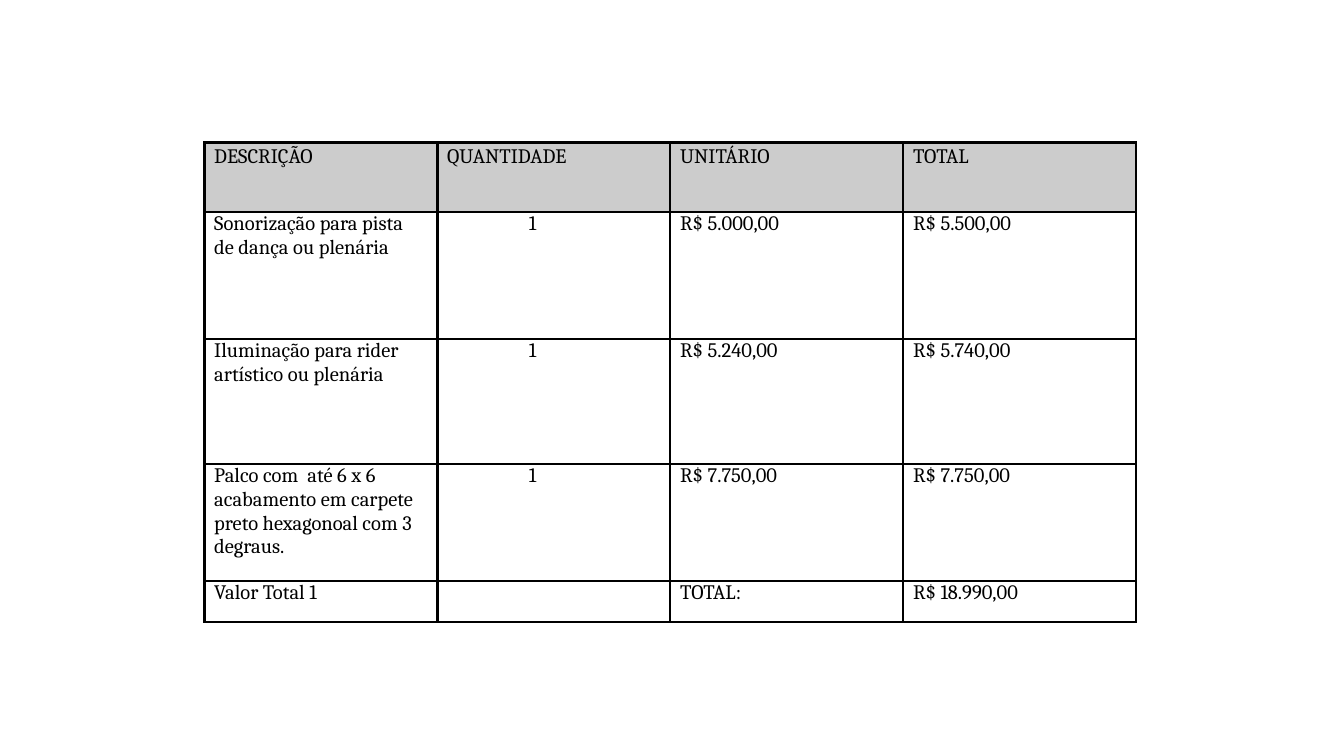
from dataclasses import dataclass

import lxml.etree
import pptx
import pptx.dml.color
import pptx.oxml.ns
import pptx.slide
import pptx.table
import pptx.util

Pt = pptx.util.Pt
qn = pptx.oxml.ns.qn

BLACK = pptx.dml.color.RGBColor(0x00, 0x00, 0x00)
HEADER_GREY = pptx.dml.color.RGBColor(0xCC, 0xCC, 0xCC)
FONT_NAME = "Cambria"
FONT_SIZE = 11
BORDER_WIDTH = 1.5
COLUMN_WIDTH = 124.8
CELL_MARGIN = 5.3
QUANTITY_MARGIN = 49
QUANTITY_COLUMN = 1


@dataclass(frozen=True)
class Row:
    height: float
    texts: tuple[str, str, str, str]
    is_header: bool = False


ROWS = (
    Row(37.2, ("DESCRIÇÃO", "QUANTIDADE", "UNITÁRIO", "TOTAL"), is_header=True),
    Row(68, ("Sonorização para pista de dança ou plenária", "1", "R$ 5.000,00", "R$ 5.500,00")),
    Row(67, ("Iluminação para rider  artístico ou plenária", "1", "R$ 5.240,00", "R$ 5.740,00")),
    Row(62.6, ("Palco com  até 6 x 6 acabamento em carpete preto hexagonoal com 3 degraus.",
               "1", "R$ 7.750,00", "R$ 7.750,00")),
    Row(22, ("Valor Total 1", "", "TOTAL:", "R$ 18.990,00")),
)


def add_borders(cell: pptx.table._Cell) -> None:
    properties = cell._tc.get_or_add_tcPr()
    for side in ("a:lnL", "a:lnR", "a:lnT", "a:lnB"):
        line = lxml.etree.SubElement(properties, qn(side), w=str(Pt(BORDER_WIDTH)))
        fill = lxml.etree.SubElement(line, qn("a:solidFill"))
        lxml.etree.SubElement(fill, qn("a:srgbClr"), val=str(BLACK))


def fill_cell(cell: pptx.table._Cell, text: str, is_header: bool, is_quantity: bool) -> None:
    cell.margin_left = Pt(QUANTITY_MARGIN if is_quantity else CELL_MARGIN)
    cell.margin_right = Pt(CELL_MARGIN)
    cell.margin_top = cell.margin_bottom = Pt(0)
    add_borders(cell)
    if is_header:
        cell.fill.solid()
        cell.fill.fore_color.rgb = HEADER_GREY
    else:
        cell.fill.background()

    cell.text_frame.text = text
    paragraph = cell.text_frame.paragraphs[0]
    if is_header:
        paragraph.line_spacing = 1.08
        paragraph.space_after = Pt(8)
    for run in paragraph.runs:
        run.font.name = FONT_NAME
        run.font.size = Pt(FONT_SIZE)
        run.font.bold = False
        run.font.color.rgb = BLACK
    if not text:
        # An empty cell takes its line height from the end mark.
        lxml.etree.SubElement(paragraph._p, qn("a:endParaRPr"), sz=str(FONT_SIZE * 100))


def add_price_table(slide: pptx.slide.Slide, left: float, top: float) -> None:
    column_count = len(ROWS[0].texts)
    table = slide.shapes.add_table(
        len(ROWS), column_count, Pt(left), Pt(top),
        Pt(COLUMN_WIDTH * column_count), Pt(sum(row.height for row in ROWS)),
    ).table
    table.first_row = False
    table.horz_banding = False
    for column in table.columns:
        column.width = Pt(COLUMN_WIDTH)
    for row_index, row in enumerate(ROWS):
        table.rows[row_index].height = Pt(row.height)
        for column_index, text in enumerate(row.texts):
            is_quantity = column_index == QUANTITY_COLUMN and not row.is_header
            fill_cell(table.cell(row_index, column_index), text, row.is_header, is_quantity)


def main() -> None:
    presentation = pptx.Presentation()
    presentation.slide_width = Pt(720)
    presentation.slide_height = Pt(405)
    slide = presentation.slides.add_slide(presentation.slide_layouts[6])
    add_price_table(slide, left=109.5, top=76.4)
    presentation.save("out.pptx")


if __name__ == "__main__":
    main()
